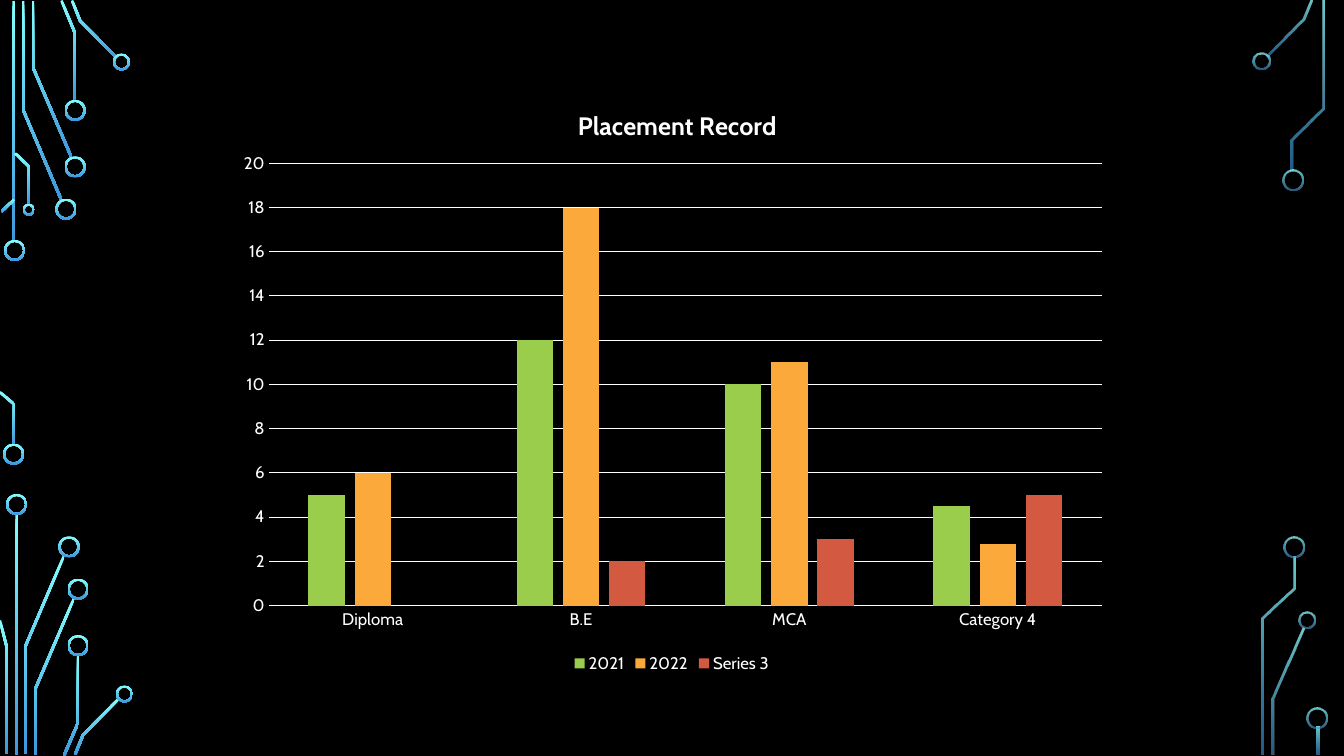
"""Build the placement record slide: a column chart framed by circuit traces."""
from dataclasses import dataclass
from math import hypot

from lxml.etree import SubElement
from pptx import Presentation
from pptx.chart.chart import Chart
from pptx.chart.data import CategoryChartData
from pptx.dml.color import RGBColor
from pptx.enum.chart import XL_CHART_TYPE, XL_LEGEND_POSITION, XL_TICK_MARK
from pptx.enum.shapes import MSO_SHAPE
from pptx.oxml.ns import qn
from pptx.util import Emu, Pt

SCALE = 4572
SLIDE_WIDTH, SLIDE_HEIGHT = Emu(12192000), Emu(6858000)
FONT = "Cabin"
STROKE = 5
RIM = 4

BLACK = RGBColor(0x00, 0x00, 0x00)
WHITE = RGBColor(0xFF, 0xFF, 0xFF)
CYAN = RGBColor(0x82, 0xFF, 0xFF)
BLUE = RGBColor(0x3D, 0x97, 0xDE)
GREEN = RGBColor(0x9A, 0xCD, 0x4C)
ORANGE = RGBColor(0xFA, 0xA9, 0x3A)
RED = RGBColor(0xD3, 0x59, 0x40)

Point = tuple[float, float]


@dataclass(frozen=True)
class Trace:
    points: tuple[Point, ...]


@dataclass(frozen=True)
class Ring:
    left: int
    top: int
    size: int = 42


@dataclass(frozen=True)
class Circuit:
    opacities: tuple[int, int]
    traces: tuple[Trace, ...]
    rings: tuple[Ring, ...]


@dataclass(frozen=True)
class Series:
    name: str
    values: tuple[float | None, ...]
    color: RGBColor


CIRCUITS = (
    Circuit(
        (100, 100),
        (
            Trace(((27, 2), (27, 480))),
            Trace(((46, 2), (46, 218), (122, 397))),
            Trace(((65, 2), (65, 133), (142, 313))),
            Trace(((122, 1), (149, 66), (149, 200))),
            Trace(((143, 1), (159, 41), (231, 114))),
            Trace(((3, 420), (28, 396))),
            Trace(((0, 778), (28, 802), (28, 882))),
            Trace(((30, 304), (58, 331), (58, 406))),
            Trace(((33, 1020), (33, 1498))),
            Trace(((51, 1496), (51, 1281), (127, 1103))),
            Trace(((0, 1231), (13, 1282), (13, 1496))),
            Trace(((71, 1498), (71, 1365), (147, 1187))),
            Trace(((127, 1499), (155, 1434), (155, 1300))),
            Trace(((149, 1497), (165, 1458), (236, 1386))),
        ),
        (
            Ring(8, 476), Ring(6, 880), Ring(110, 394), Ring(128, 310),
            Ring(128, 198), Ring(224, 106, 34), Ring(45, 404, 24),
            Ring(12, 980), Ring(116, 1064), Ring(134, 1148),
            Ring(134, 1260), Ring(230, 1360, 34),
        ),
    ),
    Circuit(
        (80, 60),
        (
            Trace(((2514, 111), (2585, 39), (2601, 1))),
            Trace(((2525, 1498), (2525, 1387), (2586, 1247))),
            Trace(((2564, 338), (2564, 277), (2625, 215), (2625, 2))),
            Trace(((2505, 1498), (2505, 1227), (2567, 1167), (2567, 1104))),
            Trace(((2615, 1442), (2615, 1498))),
        ),
        (
            Ring(2486, 104, 34), Ring(2544, 336), Ring(2576, 1214, 34),
            Ring(2546, 1064), Ring(2592, 1404),
        ),
    ),
)

CATEGORIES = ("Diploma", "B.E", "MCA", "Category 4")
SERIES = (
    Series("2021", (5, 12, 10, 4.5), GREEN),
    Series("2022", (6, 18, 11, 2.8), ORANGE),
    Series("Series 3", (None, 2, 3, 5), RED),
)


def px(value: float) -> Emu:
    return Emu(round(value * SCALE))


def normal(start: Point, end: Point) -> Point:
    across, down = end[0] - start[0], end[1] - start[1]
    length = hypot(across, down)
    return -down / length, across / length


def outline(points: tuple[Point, ...]) -> list[Point]:
    normals = [normal(*pair) for pair in zip(points, points[1:])]
    sides: tuple[list[Point], list[Point]] = ([], [])
    for (x, y), (ax, ay), (bx, by) in zip(
        points, normals[:1] + normals, normals + normals[-1:]
    ):
        reach = STROKE / 2 / (1 + ax * bx + ay * by)
        shift_x, shift_y = (ax + bx) * reach, (ay + by) * reach
        sides[0].append((x + shift_x, y + shift_y))
        sides[1].append((x - shift_x, y - shift_y))
    return sides[0] + sides[1][::-1]


def paint(shape, opacities: tuple[int, int]) -> None:
    shape.shadow.inherit = False
    shape.line.fill.background()
    shape.fill.gradient()
    shape.fill.gradient_angle = 270
    for stop, color in zip(shape.fill.gradient_stops, (CYAN, BLUE)):
        stop.color.rgb = color
    for color, opacity in zip(shape.element.iter(qn("a:srgbClr")), opacities):
        if opacity < 100:
            SubElement(color, qn("a:alpha")).set("val", str(opacity * 1000))


def draw_circuit(page, circuit: Circuit) -> None:
    for trace in circuit.traces:
        corners = [(px(x), px(y)) for x, y in outline(trace.points)]
        builder = page.shapes.build_freeform(*corners[0], scale=1.0)
        builder.add_line_segments(corners[1:], close=True)
        paint(builder.convert_to_shape(), circuit.opacities)
    for ring in circuit.rings:
        donut = page.shapes.add_shape(
            MSO_SHAPE.DONUT, px(ring.left), px(ring.top), px(ring.size), px(ring.size)
        )
        donut.adjustments[0] = RIM / ring.size
        paint(donut, circuit.opacities)


def place(element, index: int, **settings: str | float) -> None:
    for old in element.findall(qn("c:layout")):
        element.remove(old)
    layout = SubElement(element, qn("c:layout"))
    element.insert(index, layout)
    manual = SubElement(layout, qn("c:manualLayout"))
    for name, value in settings.items():
        SubElement(manual, qn(f"c:{name}")).set("val", str(value))


def style_font(font, size: int, bold: bool = False) -> None:
    font.name, font.size, font.bold = FONT, Pt(size), bold
    font.color.rgb = WHITE


def style_axes(chart: Chart) -> None:
    for axis in (chart.category_axis, chart.value_axis):
        axis.major_tick_mark = axis.minor_tick_mark = XL_TICK_MARK.NONE
        style_font(axis.tick_labels.font, 12)
    values = chart.value_axis
    values.minimum_scale, values.maximum_scale, values.major_unit = 0, 20, 2
    values.format.line.fill.background()
    for line in (chart.category_axis.format.line, values.major_gridlines.format.line):
        line.color.rgb = WHITE
        line.width = Pt(0.75)


def draw_chart(page) -> None:
    data = CategoryChartData()
    data.categories = CATEGORIES
    for series in SERIES:
        data.add_series(series.name, series.values)
    chart = page.shapes.add_chart(
        XL_CHART_TYPE.COLUMN_CLUSTERED, px(444), px(158), px(1778), px(1186), data
    ).chart
    style_font(chart.font, 10)
    style_axes(chart)
    plot = chart.plots[0]
    plot.gap_width, plot.overlap, plot.vary_by_categories = 219, -27, False
    for drawn, series in zip(plot.series, SERIES):
        drawn.format.fill.solid()
        drawn.format.fill.fore_color.rgb = series.color
        drawn.invert_if_negative = False
    chart.has_legend = True
    chart.legend.position = XL_LEGEND_POSITION.BOTTOM
    chart.legend.include_in_layout = False
    style_font(chart.legend.font, 12)
    span = chart.chart_title.text_frame.paragraphs[0].add_run()
    span.text = "Placement Record"
    style_font(span.font, 18, True)
    place(chart.chart_title.element, 1, xMode="edge", yMode="edge", x=0.39, y=0.04)
    place(chart.element.find(f".//{qn('c:plotArea')}"), 0, layoutTarget="inner",
          xMode="edge", yMode="edge", x=0.05, y=0.14, w=0.93, h=0.74)


def main() -> None:
    deck = Presentation()
    deck.slide_width, deck.slide_height = SLIDE_WIDTH, SLIDE_HEIGHT
    page = deck.slides.add_slide(deck.slide_layouts[6])
    page.background.fill.solid()
    page.background.fill.fore_color.rgb = BLACK
    for circuit in CIRCUITS:
        draw_circuit(page, circuit)
    draw_chart(page)
    deck.save("out.pptx")


if __name__ == "__main__":
    main()
